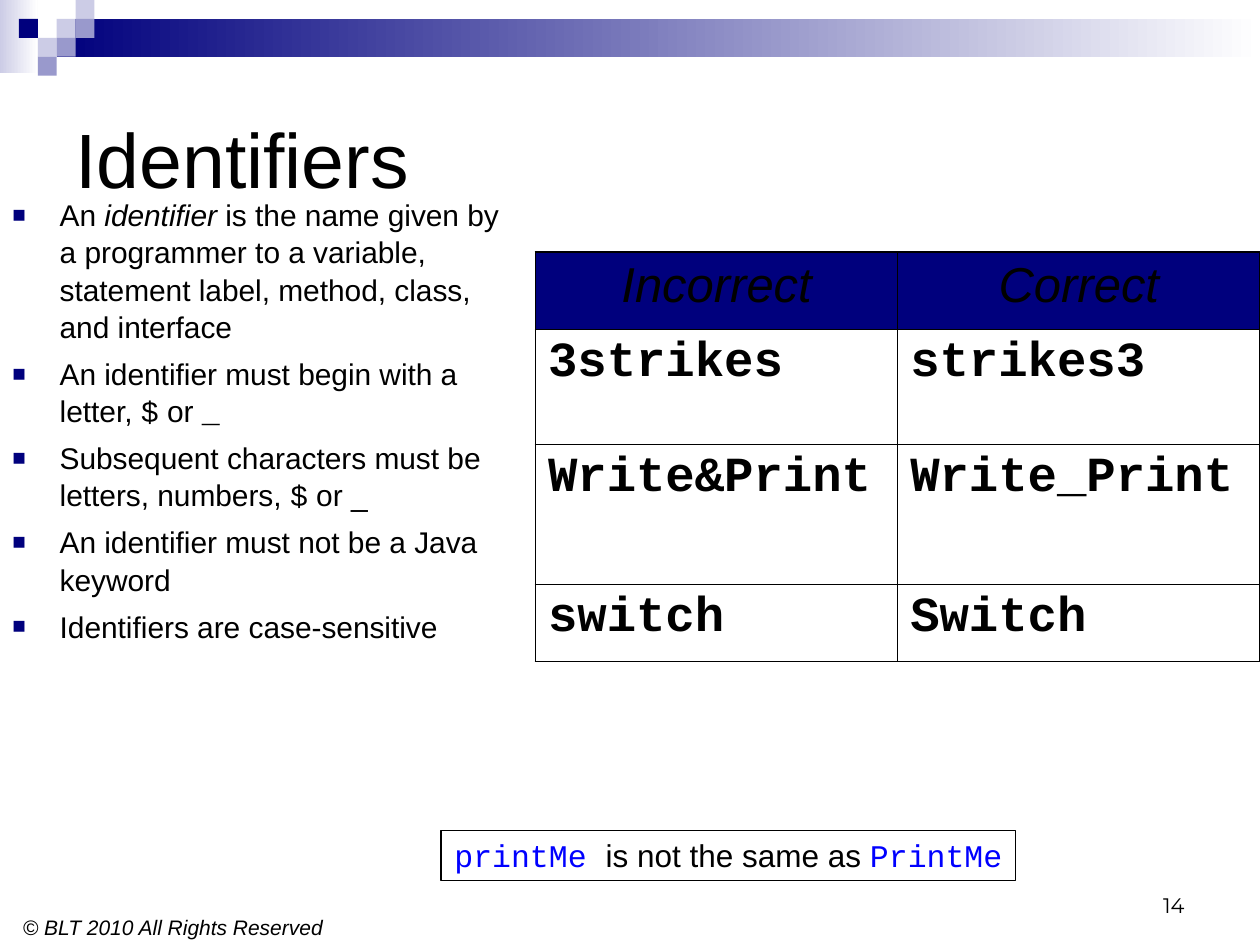
from dataclasses import dataclass

import lxml.etree
import pptx
import pptx.dml.color
import pptx.enum.shapes
import pptx.enum.text
import pptx.oxml.ns
import pptx.util

Pt = pptx.util.Pt
RGB = pptx.dml.color.RGBColor.from_string
qn = pptx.oxml.ns.qn
ALIGN = pptx.enum.text.PP_ALIGN
ANCHOR = pptx.enum.text.MSO_ANCHOR
RECTANGLE = pptx.enum.shapes.MSO_SHAPE.RECTANGLE


@dataclass(frozen=True)
class Theme:
    ink: str = "000000"
    paper: str = "FFFFFF"
    navy: str = "00007D"
    lilac: str = "9999CC"
    pale: str = "CCCCE6"
    code_blue: str = "0000FF"
    sans: str = "Arial"
    mono: str = "Courier New"
    number_face: str = "Montserrat"
    title: float = 44
    table: float = 28
    callout: float = 18
    body: float = 17.1
    small: float = 12
    outer_line: float = 1.08
    inner_line: float = 0.45


THEME = Theme()


def add_xml(parent, tag, **attributes):
    return lxml.etree.SubElement(parent, qn(tag), attributes)


def style(font, size=None, face=None, color=None, bold=None, italic=None):
    if size:
        font.size = Pt(size)
    if face:
        font.name = face
    if color:
        font.color.rgb = RGB(color)
    font.bold = bold
    font.italic = italic


def add_frame(slide, box, anchor=ANCHOR.TOP):
    frame = slide.shapes.add_textbox(*map(Pt, box)).text_frame
    frame.word_wrap = True
    frame.vertical_anchor = anchor
    return frame


def add_line(slide, box, text, size, face=THEME.sans, italic=None,
             align=ALIGN.LEFT, anchor=ANCHOR.TOP, spacing=None):
    line = add_frame(slide, box, anchor).paragraphs[0]
    line.text = text
    line.alignment = align
    line.line_spacing = spacing
    style(line.font, size, face, THEME.ink, italic=italic)


def add_rectangle(slide, box, *colors):
    rectangle = slide.shapes.add_shape(RECTANGLE, *map(Pt, box))
    rectangle.shadow.inherit = False
    rectangle.line.fill.background()
    if len(colors) == 1:
        rectangle.fill.solid()
        rectangle.fill.fore_color.rgb = RGB(colors[0])
    else:
        rectangle.fill.gradient()
        rectangle.fill.gradient_angle = 0
        for stop, color in zip(rectangle.fill.gradient_stops, colors):
            stop.color.rgb = RGB(color)
    return rectangle


def add_banner(slide, box):
    left, top, width, height = box
    unit = height / 4
    bar_left = 3 * unit
    add_rectangle(slide, (left, top, 2 * unit, height - 1.2), THEME.pale, THEME.paper)
    add_rectangle(slide, (left + bar_left, top + unit, width - bar_left, 2 * unit),
                  THEME.navy, THEME.paper)
    tiles = [(3, 1, THEME.pale), (4, 0, THEME.pale), (4, 1, THEME.lilac),
             (2, 2, THEME.pale), (1, 1, THEME.navy), (3, 2, THEME.lilac),
             (2, 3, THEME.lilac)]
    for column, row, color in tiles:
        add_rectangle(slide, (left + column * unit, top + row * unit, unit, unit), color)


def add_rules(slide, box, rules):
    frame = add_frame(slide, box)
    for index, rule in enumerate(rules):
        paragraph = frame.add_paragraph() if index else frame.paragraphs[0]
        properties = paragraph._p.get_or_add_pPr()
        properties.set("marL", str(Pt(27)))
        properties.set("indent", str(Pt(-27)))
        add_xml(add_xml(properties, "a:buClr"), "a:srgbClr", val=THEME.navy)
        add_xml(properties, "a:buSzPct", val="75000")
        add_xml(properties, "a:buFont", typeface=THEME.sans)
        add_xml(properties, "a:buChar", char="■")
        paragraph.line_spacing = 1.04
        if index:
            paragraph.space_before = Pt(5.5)
        style(paragraph.font, THEME.body, THEME.sans, THEME.ink)
        for text, kind in rule:
            run = paragraph.add_run()
            run.text = text
            if kind == "code":
                run.font.name = THEME.mono
            elif kind == "term":
                run.font.italic = True


def set_border(cell, side, width):
    line = add_xml(cell._tc.get_or_add_tcPr(), f"a:{side}", w=str(Pt(width)))
    add_xml(add_xml(line, "a:solidFill"), "a:srgbClr", val=THEME.ink)


def add_examples(slide, box, rows, heights):
    table = slide.shapes.add_table(len(rows), len(rows[0]), *map(Pt, box)).table
    last_row, last_column = len(rows) - 1, len(rows[0]) - 1
    for column in table.columns:
        column.width = Pt(box[2] / len(rows[0]))
    for r, (texts, height) in enumerate(zip(rows, heights)):
        table.rows[r].height = Pt(height)
        for c, text in enumerate(texts):
            cell = table.cell(r, c)
            edges = {"lnL": c == 0, "lnR": c == last_column,
                     "lnT": r == 0, "lnB": r == last_row}
            for side, outer in edges.items():
                set_border(cell, side, THEME.outer_line if outer else THEME.inner_line)
            paragraph = cell.text_frame.paragraphs[0]
            paragraph.text = text
            if r == 0:
                cell.fill.solid()
                cell.fill.fore_color.rgb = RGB(THEME.navy)
                paragraph.alignment = ALIGN.CENTER
                style(paragraph.font, THEME.table, THEME.sans, THEME.ink,
                      bold=False, italic=True)
            else:
                cell.fill.background()
                style(paragraph.font, THEME.table, THEME.mono, THEME.ink, bold=True)


def add_callout(slide, box, pieces):
    callout = add_rectangle(slide, box, THEME.paper)
    callout.line.color.rgb = RGB(THEME.ink)
    callout.line.width = Pt(0.75)
    frame = callout.text_frame
    frame.word_wrap = True
    frame.vertical_anchor = ANCHOR.TOP
    sentence = frame.paragraphs[0]
    sentence.alignment = ALIGN.CENTER
    style(sentence.font, THEME.callout)
    for text, is_code in pieces:
        run = sentence.add_run()
        run.text = text
        style(run.font, face=THEME.mono if is_code else THEME.sans,
              color=THEME.code_blue if is_code else THEME.ink)


def main():
    deck = pptx.Presentation()
    deck.slide_width, deck.slide_height = Pt(720), Pt(540)
    slide = deck.slides.add_slide(deck.slide_layouts[6])
    add_banner(slide, (0, 0, 720, 43.2))
    add_line(slide, (6, 522, 240, 18.7), "© BLT 2010 All Rights Reserved",
             THEME.small, italic=True, spacing=0.8)
    add_line(slide, (516, 492, 168, 36), "14", THEME.small, THEME.number_face,
             align=ALIGN.RIGHT, anchor=ANCHOR.BOTTOM)
    add_callout(slide, (252, 474.4, 328.4, 28.8),
                [("printMe ", True), ("is not the same as ", False), ("PrintMe", True)])
    add_line(slide, (36, 36, 648, 108), "Identifiers", THEME.title, anchor=ANCHOR.MIDDLE)
    add_rules(slide, (0, 108, 306, 259), [
        [("An ", ""), ("identifier", "term"),
         (" is the name given by a programmer to a variable, "
          "statement label, method, class, and interface", "")],
        [("An identifier must begin with a letter, ", ""), ("$", "code"),
         (" or ", ""), ("_", "code")],
        [("Subsequent characters must be letters, numbers, ", ""), ("$", "code"),
         (" or _", "")],
        [("An identifier must not be a Java keyword", "")],
        [("Identifiers are case-sensitive", "")],
    ])
    add_examples(slide, (306, 144, 414, 234),
                 [("Incorrect", "Correct"), ("3strikes", "strikes3"),
                  ("Write&Print", "Write_Print"), ("switch", "Switch")],
                 (44, 66, 80, 44))
    deck.save("out.pptx")


if __name__ == "__main__":
    main()
